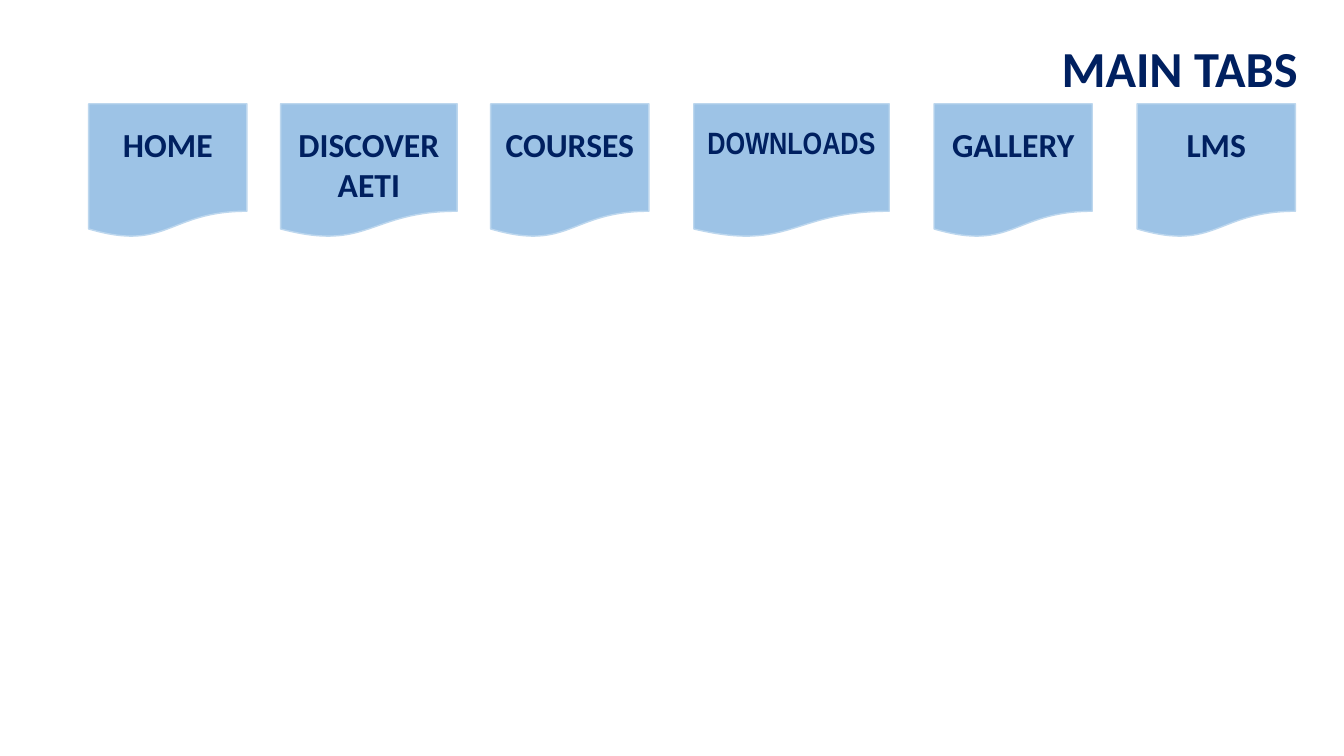
import pptx
import pptx.util
import pptx.dml.color
import pptx.enum.shapes
import pptx.enum.text

Align = pptx.enum.text.PP_ALIGN

NARROW, WIDE, WIDEST = 11.78, 13.13, 14.55
CLOSE, LOOSE = 2.5, 3.33
FIRST_TAB_LEFT = 6.6
TAB_TOP, TAB_HEIGHT = 13.73, 17.73

# label, width, gap to the next tab, font changes
TABS = [
    ("HOME", NARROW, CLOSE, {}),
    ("DISCOVER AETI", WIDE, CLOSE, {}),
    ("COURSES", NARROW, LOOSE, {}),
    ("DOWNLOADS", WIDEST, LOOSE,
     {"name": "Arial Narrow", "size": pptx.util.Pt(22)}),
    ("GALLERY", NARROW, LOOSE, {}),
    ("LMS", NARROW, 0, {}),
]


def colour(value):
    return pptx.dml.color.RGBColor.from_string(value)


def set_all(target, values):
    for name, value in values.items():
        setattr(target, name, value)


class Page:
    """A slide measured in percent of its width and height."""

    text_colour = "002060"
    tab_fill = "9DC3E6"
    tab_line = "BDD7EE"
    font = {"name": "Calibri", "size": pptx.util.Pt(24), "bold": True}

    def __init__(self, deck):
        self.deck = deck
        self.slide = deck.slides.add_slide(deck.slide_layouts[6])

    def place(self, left, top, width, height):
        across, down = self.deck.slide_width / 100, self.deck.slide_height / 100
        return (round(left * across), round(top * down),
                round(width * across), round(height * down))

    def add_label(self, box, text, alignment, font):
        set_all(box.text_frame, {
            "word_wrap": True,
            "vertical_anchor": pptx.enum.text.MSO_ANCHOR.TOP,
        })
        para = box.text_frame.paragraphs[0]
        para.alignment = alignment
        span = para.add_run()
        span.text = text
        set_all(span.font, {**self.font, **font})
        span.font.color.rgb = colour(self.text_colour)

    def title(self, text, *area):
        box = self.slide.shapes.add_textbox(*self.place(*area))
        self.add_label(box, text, Align.RIGHT, {"size": pptx.util.Pt(36)})
        box.text_frame.auto_size = pptx.enum.text.MSO_AUTO_SIZE.SHAPE_TO_FIT_TEXT

    def tab(self, text, font, *area):
        box = self.slide.shapes.add_shape(
            pptx.enum.shapes.MSO_SHAPE.FLOWCHART_DOCUMENT, *self.place(*area))
        box.shadow.inherit = False
        box.fill.solid()
        box.fill.fore_color.rgb = colour(self.tab_fill)
        box.line.color.rgb = colour(self.tab_line)
        box.line.width = pptx.util.Pt(1)
        box.text_frame.margin_top = pptx.util.Inches(0.2)
        self.add_label(box, text, Align.CENTER, font)


def main():
    deck = pptx.Presentation()
    set_all(deck, {"slide_width": pptx.util.Inches(13.33),
                   "slide_height": pptx.util.Inches(7.5)})
    page = Page(deck)
    page.title("MAIN TABS", 72.77, 4.27, 24.53, 9.47)
    left = FIRST_TAB_LEFT
    for label, width, gap, font in TABS:
        page.tab(label, font, left, TAB_TOP, width, TAB_HEIGHT)
        left += width + gap
    deck.save("out.pptx")


if __name__ == "__main__":
    main()
